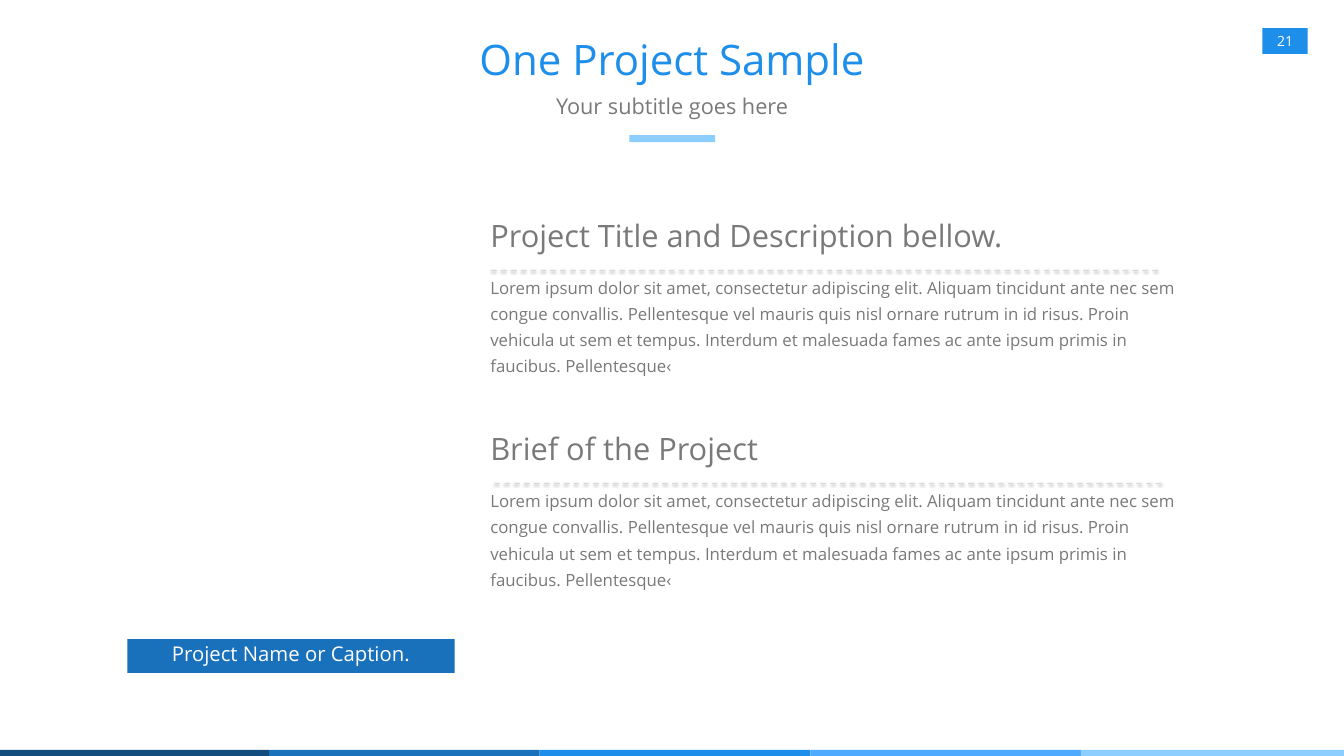
import pptx
import pptx.dml.color
import pptx.enum.dml
import pptx.enum.shapes
import pptx.enum.text
import pptx.oxml
import pptx.oxml.ns
import pptx.util
from pptx.util import Inches

ALIGN = pptx.enum.text.PP_ALIGN
ANCHOR = pptx.enum.text.MSO_ANCHOR
FIT = pptx.enum.text.MSO_AUTO_SIZE

THEME = {
    "font": "Open Sans",
    "blues": ["134D7E", "1971BB", "1D8EEA", "4EAAFF", "8BCEFF"],
    "gray": "797979", "rule": "D9D9D9", "white": "FFFFFF",
    "title": 60, "heading": 44, "subtitle": 31, "caption": 29, "body": 24, "number": 20,
}
NAVY, DEEP, BLUE, SKY, PALE = THEME["blues"]
LOREM = (
    "Lorem ipsum dolor sit amet, consectetur adipiscing elit. Aliquam tincidunt ante nec sem "
    "congue convallis. Pellentesque vel mauris quis nisl ornare rutrum in id risus. Proin "
    "vehicula ut sem et tempus. Interdum et malesuada fames ac ante ipsum primis in "
    "faucibus. Pellentesque‹"
)
SHADOW = (
    f'<a:effectLst {pptx.oxml.ns.nsdecls("a")}>'
    '<a:outerShdw blurRad="39370" dist="20320" dir="5400000" rotWithShape="0">'
    '<a:srgbClr val="000000"><a:alpha val="38000"/></a:srgbClr>'
    '</a:outerShdw></a:effectLst>'
)


def add_bar(x, y, w, h, color):
    s = slide.shapes.add_shape(
        pptx.enum.shapes.MSO_SHAPE.RECTANGLE, Inches(x), Inches(y), Inches(w), Inches(h))
    s.shadow.inherit = False
    s.fill.solid()
    s.fill.fore_color.rgb = pptx.dml.color.RGBColor.from_string(color)
    s.line.fill.background()
    return s


def set_text(s, text, size, color, align=ALIGN.CENTER, anchor=ANCHOR.TOP,
             insets=(0.1, 0.05, 0.1, 0.05), spacing=None, fit=FIT.NONE):
    """Write one formatted paragraph; insets run left, top, right, bottom."""
    tf = s.text_frame
    tf.word_wrap = True
    tf.auto_size = fit
    tf.vertical_anchor = anchor
    tf.margin_left, tf.margin_top, tf.margin_right, tf.margin_bottom = map(Inches, insets)
    p = tf.paragraphs[0]
    p.alignment = align
    p.line_spacing = spacing
    r = p.add_run()
    r.text = text
    r.font.name = THEME["font"]
    r.font.size = pptx.util.Pt(THEME[size])
    r.font.color.rgb = pptx.dml.color.RGBColor.from_string(color)


prs = pptx.Presentation()
prs.slide_width, prs.slide_height = Inches(26.67), Inches(15)
slide = prs.slides.add_slide(prs.slide_layouts[0])

# Footer stripe and page number
for i, color in enumerate(THEME["blues"]):
    add_bar(-0.03 + 5.37 * i, 14.88, 5.37, 0.2, color)
badge = add_bar(25.05, 0.56, 0.9, 0.51, BLUE)
set_text(badge, "21", "number", THEME["white"], anchor=ANCHOR.MIDDLE, insets=(0, 0, 0, 0))

# Title, subtitle and accent
title, subtitle = slide.placeholders
title.left, title.top, title.width, title.height = map(Inches, (2, 0.62, 22.67, 1.24))
set_text(title, "One Project Sample", "title", BLUE)
subtitle.left, subtitle.top, subtitle.width, subtitle.height = map(
    Inches, (2.04, 1.62, 22.59, 0.92))
set_text(subtitle, "Your subtitle goes here", "subtitle", THEME["gray"],
         insets=(0.24, 0.12, 0.24, 0.12), spacing=1.2)
add_bar(12.49, 2.68, 1.7, 0.14, PALE)

# Project sections: heading, dashed rule, description
sections = [("Project Title and Description bellow.", 4.29, 9.75, 5.37),
            ("Brief of the Project", 8.53, 9.82, 9.59)]
for heading, top, rule_x, rule_y in sections:
    s = slide.shapes.add_textbox(Inches(9.46), Inches(top), Inches(14.58), Inches(0.74))
    set_text(s, heading, "heading", THEME["gray"], ALIGN.LEFT, ANCHOR.MIDDLE,
             (0.27, 0, 0.27, 0), fit=FIT.SHAPE_TO_FIT_TEXT)
    s = slide.shapes.add_textbox(Inches(9.46), Inches(top + 1.22), Inches(14.58), Inches(1.82))
    set_text(s, LOREM, "body", THEME["gray"], ALIGN.LEFT, ANCHOR.MIDDLE,
             (0.27, 0.13, 0.27, 0.13), 1.3, FIT.SHAPE_TO_FIT_TEXT)
    rule = slide.shapes.add_connector(
        pptx.enum.shapes.MSO_CONNECTOR.STRAIGHT,
        Inches(rule_x), Inches(rule_y), Inches(rule_x + 13.27), Inches(rule_y))
    rule.line.color.rgb = pptx.dml.color.RGBColor.from_string(THEME["rule"])
    rule.line.width = pptx.util.Pt(2)
    rule.line.dash_style = pptx.enum.dml.MSO_LINE.DASH
    rule._element.spPr.append(pptx.oxml.parse_xml(SHADOW))

caption = add_bar(2.53, 12.68, 6.49, 0.67, DEEP)
set_text(caption, "Project Name or Caption.", "caption", THEME["white"],
         insets=(0.27, 0.05, 0.27, 0))

prs.save("out.pptx")
